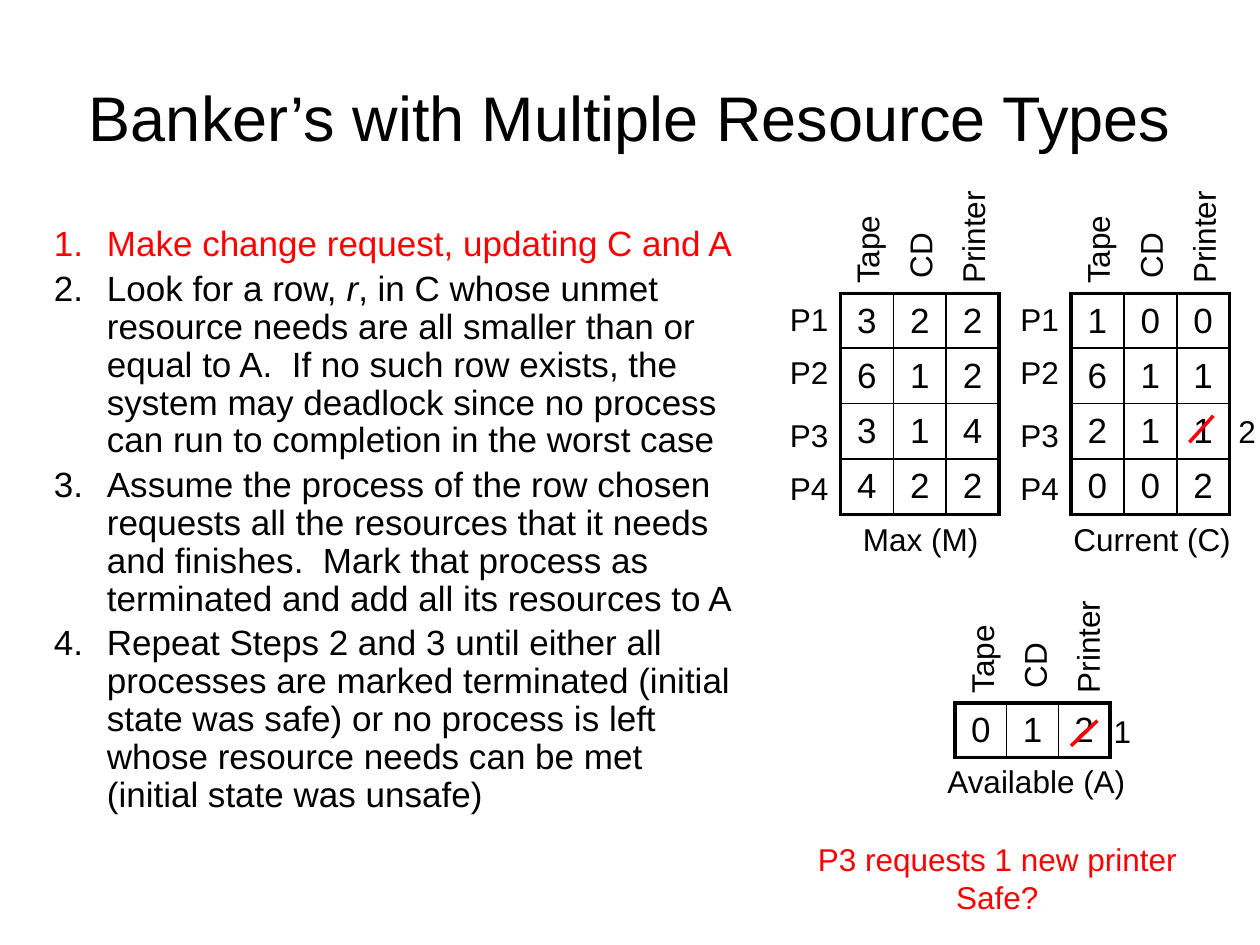
from pptx import Presentation
from pptx.dml.color import RGBColor
from pptx.enum.shapes import MSO_CONNECTOR
from pptx.enum.text import MSO_ANCHOR, MSO_AUTO_SIZE, PP_ALIGN
from pptx.oxml import parse_xml
from pptx.oxml.ns import nsdecls
from pptx.util import Inches, Pt

LEFT, MID = PP_ALIGN.LEFT, PP_ALIGN.CENTER
CENTRE, TOP = MSO_ANCHOR.MIDDLE, MSO_ANCHOR.TOP
GROW, FIXED = MSO_AUTO_SIZE.SHAPE_TO_FIT_TEXT, MSO_AUTO_SIZE.NONE
LINE = MSO_CONNECTOR.STRAIGHT
BLACK, RED = "000000", "FF0000"

TITLE = "Banker’s with Multiple Resource Types"
STEPS = [
    (RED, ["Make change request, updating C and A"]),
    (BLACK, ["Look for a row, ", "r", ", in C whose unmet resource needs are all "
             "smaller than or equal to A.  If no such row exists, the system may "
             "deadlock since no process can run to completion in the worst case"]),
    (BLACK, ["Assume the process of the row chosen requests all the resources that "
             "it needs and finishes.  Mark that process as terminated and add all "
             "its resources to A"]),
    (BLACK, ["Repeat Steps 2 and 3 until either all processes are marked terminated "
             "(initial state was safe) or no process is left whose resource needs "
             "can be met (initial state was unsafe)"]),
]
KINDS = [("Tape", 0.77, 0.02), ("CD", 0.56, -0.02), ("Printer", 0.94, 0.02)]
PROCS = [("P1", 0), ("P2", 0.42), ("P3", 0.92), ("P4", 1.34)]
GRIDS = [
    (8.5, 2.33, 0.42, [0.42, 0.44, 0.44, 0.44], PROCS,
     [[1, 0, 0], [6, 1, 1], [2, 1, 1], [0, 0, 2]]),
    (6.67, 2.33, 0.42, [0.43, 0.44, 0.44, 0.44], PROCS,
     [[3, 2, 2], [6, 1, 2], [3, 1, 4], [4, 2, 2]]),
    (7.58, 5.58, 0.41, [0.43], [], [[0, 1, 2]]),
]
NOTES = [
    (6.75, 4.08, 1.12, "Max (M)"),
    (8.42, 4.08, 1.45, "Current (C)"),
    (7.42, 6, 1.62, "Available (A)"),
    (9.73, 3.22, 0.34, "2"),
    (8.74, 5.6, 0.34, "1"),
]
ASK = ["P3 requests 1 new printer", "Safe?"]
STRIKES = [(9.44, 3.51, 9.63, 3.3), (8.5, 5.92, 8.71, 5.72)]


def tint(code):
    """Turn a hex string into a colour."""
    return RGBColor.from_string(code)


def style(item, **values):
    """Set each given attribute on the item."""
    for name, value in values.items():
        setattr(item, name, value)


def write(par, parts, size, code=BLACK, **form):
    """Fill a paragraph with runs, every second one in italics."""
    style(par, **form)
    for i, part in enumerate(parts):
        run = par.add_run()
        run.text = part
        style(run.font, name="Arial", size=Pt(size), italic=i % 2 == 1)
        run.font.color.rgb = tint(code)


def label(slide, x, y, wide, lines, code=BLACK, align=LEFT, turn=0):
    """Add a small unwrapped text box."""
    box = slide.shapes.add_textbox(*map(Inches, (x, y, wide, 0.1 + 0.3 * len(lines))))
    box.rotation = turn
    frame = box.text_frame
    style(frame, word_wrap=False, auto_size=GROW)
    for i, line in enumerate(lines):
        par = frame.add_paragraph() if i else frame.paragraphs[0]
        write(par, [line], 18, code, alignment=align)


def edge(cell, side, wide):
    """Append one black border to a cell."""
    cell._tc.get_or_add_tcPr().append(parse_xml(
        f'<a:ln{side} {nsdecls("a")} w="{Pt(wide)}"><a:solidFill>'
        f'<a:srgbClr val="{BLACK}"/></a:solidFill></a:ln{side}>'))


def grid(slide, x, y, wide, highs, procs, rows):
    """Draw a framed table with its column and row labels."""
    down, across = len(rows), len(KINDS)
    frame = slide.shapes.add_table(
        down, across, *map(Inches, (x, y, wide * across, sum(highs))))
    table = frame.table
    style(table, first_row=False, horz_banding=False)
    for col in table.columns:
        col.width = Inches(wide)
    for r, (high, row) in enumerate(zip(highs, rows)):
        table.rows[r].height = Inches(high)
        for c, value in enumerate(row):
            cell = table.cell(r, c)
            cell.vertical_anchor = CENTRE
            write(cell.text_frame.paragraphs[0], [str(value)], 20, alignment=MID)
            outer = {"L": c == 0, "R": c == across - 1,
                     "T": r == 0, "B": r == down - 1}
            for side, thick in outer.items():
                edge(cell, side, 2.25 if thick else 1)
            cell.fill.background()
    for c, (name, size, drop) in enumerate(KINDS):
        label(slide, x + 0.21 + 0.42 * c - size / 2, y + drop - size / 2 - 0.2,
              size, [name], turn=270)
    for name, drop in procs:
        label(slide, x - 0.5, y + drop, 0.51, [name])


def main():
    """Build and save the slide."""
    deck = Presentation()
    style(deck, slide_width=Inches(10), slide_height=Inches(7.5))
    slide = deck.slides.add_slide(deck.slide_layouts[5])

    head = slide.shapes.title
    style(head, left=Inches(0.5), top=Inches(0.3), width=Inches(9), height=Inches(1.25))
    style(head.text_frame, vertical_anchor=CENTRE, word_wrap=True, auto_size=FIXED)
    write(head.text_frame.paragraphs[0], [TITLE], 36, alignment=MID)

    body = slide.shapes.add_textbox(*map(Inches, (0.33, 1.75, 5.67, 5.33))).text_frame
    style(body, word_wrap=True, vertical_anchor=TOP)
    for i, (code, parts) in enumerate(STEPS):
        par = body.add_paragraph() if i else body.paragraphs[0]
        write(par, parts, 20, code, line_spacing=0.9, space_before=Pt(4))
        props = par._p.get_or_add_pPr()
        props.set("marL", str(Inches(0.42)))
        props.set("indent", str(-Inches(0.42)))
        props.append(parse_xml(f'<a:buAutoNum {nsdecls("a")} type="arabicPeriod"/>'))

    for spec in GRIDS:
        grid(slide, *spec)
    for x, y, wide, text in NOTES:
        label(slide, x, y, wide, [text])
    label(slide, 6.39, 6.62, 3.05, ASK, RED, MID)
    for ends in STRIKES:
        line = slide.shapes.add_connector(LINE, *map(Inches, ends))
        line.line.width = Pt(2)
        line.line.color.rgb = tint(RED)
        line._element.spPr.append(parse_xml(f'<a:effectLst {nsdecls("a")}/>'))

    deck.save("out.pptx")


if __name__ == "__main__":
    main()
